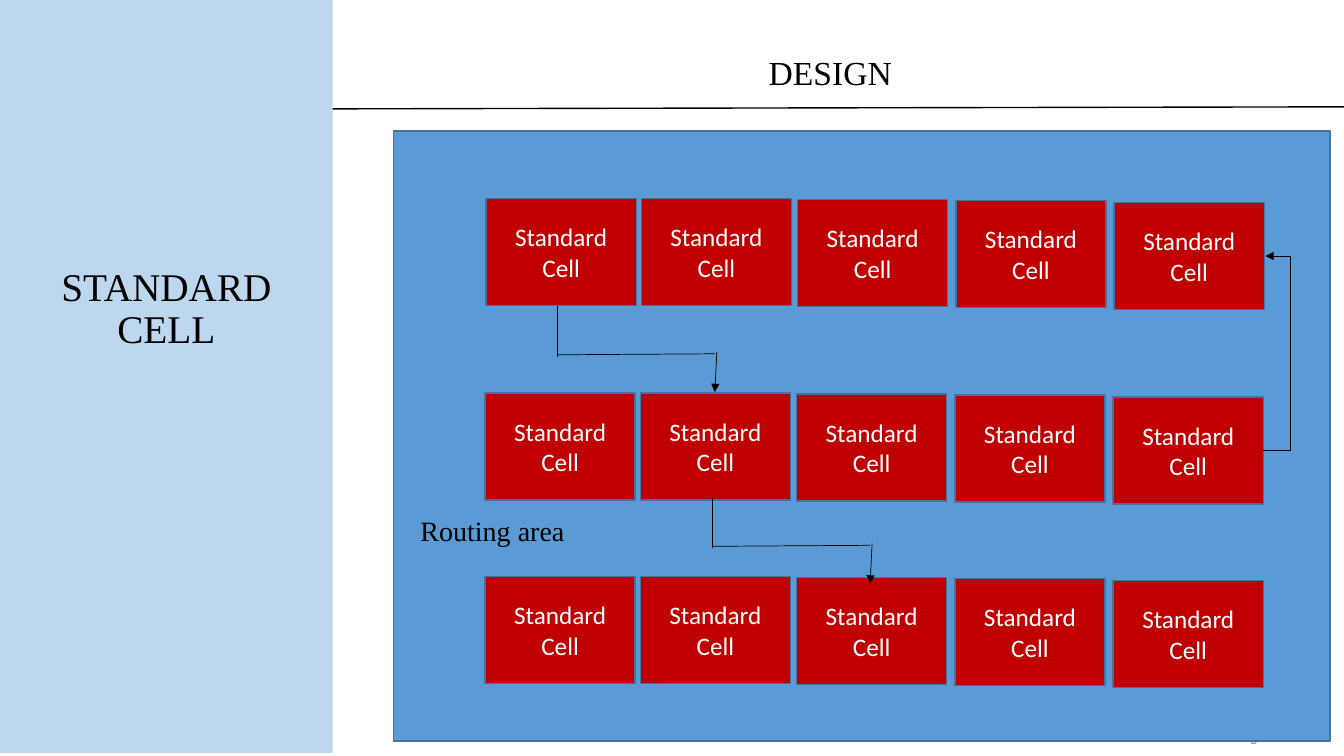
from lxml import etree
from pptx import Presentation
from pptx.dml.color import RGBColor
from pptx.enum.shapes import MSO_CONNECTOR, MSO_SHAPE
from pptx.enum.text import MSO_ANCHOR, PP_ALIGN
from pptx.oxml.ns import qn
from pptx.util import Inches, Pt

BLACK = RGBColor(0x00, 0x00, 0x00)
WHITE = RGBColor(0xFF, 0xFF, 0xFF)
GREY = RGBColor(0x8C, 0x8C, 0x8C)
PALE_BLUE = RGBColor(0xBD, 0xD7, 0xEE)
BLUE = RGBColor(0x5B, 0x9B, 0xD5)
EDGE_BLUE = RGBColor(0x43, 0x73, 0x9E)
RED = RGBColor(0xC0, 0x00, 0x00)
SERIF, SANS = "Times New Roman", "Calibri"


def add_box(box, fill=None, edge=None, text="", size=18, font=SANS, color=WHITE,
            align=PP_ALIGN.CENTER, anchor=MSO_ANCHOR.MIDDLE):
    """Add a rectangle, or a plain text box when there is no fill."""
    place = [Inches(v) for v in box]
    if fill is None:
        sp = s.shapes.add_textbox(*place)
    else:
        sp = s.shapes.add_shape(MSO_SHAPE.RECTANGLE, *place)
        sp.shadow.inherit = False
        sp.fill.solid()
        sp.fill.fore_color.rgb = fill
        sp.line.color.rgb = edge
        sp.line.width = Pt(1)
    tf = sp.text_frame
    tf.word_wrap = True
    tf.vertical_anchor = anchor
    if text:
        p = tf.paragraphs[0]
        p.alignment = align
        r = p.add_run()
        r.text = text
        r.font.name, r.font.size, r.font.color.rgb = font, Pt(size), color
    return sp


def add_wire(x1, y1, x2, y2, width=0.5, arrow=False, kind=MSO_CONNECTOR.STRAIGHT):
    cn = s.shapes.add_connector(kind, *[Inches(v) for v in (x1, y1, x2, y2)])
    cn.line.color.rgb = BLACK
    cn.line.width = Pt(width)
    if arrow:
        etree.SubElement(cn.line._get_or_add_ln(), qn("a:tailEnd"), type="triangle")
    etree.SubElement(cn._element.spPr, qn("a:effectLst"))
    return cn


prs = Presentation()
prs.slide_width, prs.slide_height = Inches(13.33), Inches(7.5)
s = prs.slides.add_slide(prs.slide_layouts[5])

# Side panel with the title
title = s.shapes.title
title.left, title.top, title.width, title.height = [
    Inches(v) for v in (0, -0.03, 3.3, 7.5)]
title.fill.solid()
title.fill.fore_color.rgb = PALE_BLUE
tf = title.text_frame
tf.text = "STANDARD CELL"
tf.word_wrap = True
tf.vertical_anchor = MSO_ANCHOR.MIDDLE
tf.margin_left = tf.margin_right = Inches(0.2)
tf.margin_bottom = Inches(1.35)
p = tf.paragraphs[0]
p.alignment = PP_ALIGN.CENTER
p.line_spacing = 0.9
font = p.runs[0].font
font.name, font.size, font.color.rgb = SERIF, Pt(28), BLACK

# Heading, rule and page number
add_box((3.3, 0.47, 9.87, 0.5), text="DESIGN", size=24, font=SERIF, color=BLACK,
        anchor=MSO_ANCHOR.TOP)
add_wire(3.3, 1.08, 13.33, 1.06, width=1)
add_box((9.58, 7.12, 3, 0.4), text="5", size=12, color=GREY, align=PP_ALIGN.RIGHT)

# Chip area with three rows of cells
add_box((3.9, 1.3, 9.29, 6.05), BLUE, EDGE_BLUE)
columns = [(4.81, 0), (6.35, 0), (7.9, 0.01), (9.47, 0.02), (11.04, 0.04)]
for row_top, shift in [(1.97, 0.01), (3.9, 0), (5.72, 0)]:
    for left, drop in columns:
        add_box((left + shift, row_top + drop, 1.49, 1.06), RED, EDGE_BLUE,
                "Standard Cell")

# Wires stepping down from one row to the next
for x, y in [(5.53, 3.04), (7.07, 4.94)]:
    add_wire(x, y, x, y + 0.5)
    add_wire(x, y + 0.48, x + 1.56, y + 0.47)
    add_wire(x + 1.58, y + 0.45, x + 1.56, y + 0.85, arrow=True)

# Wire looping back up on the right
loop = add_wire(12.53, 4.47, 12.55, 2.54, arrow=True, kind=MSO_CONNECTOR.ELBOW)
guides = loop._element.spPr.find(qn("a:prstGeom")).get_or_add_avLst()
etree.SubElement(guides, qn("a:gd"), name="adj1", fmla="val 1350000")

routing = add_box((4, 5.07, 1.77, 0.42), BLUE, BLUE, "Routing area", 20, SERIF, BLACK)
tf = routing.text_frame
tf.margin_left = tf.margin_right = tf.margin_top = tf.margin_bottom = Inches(0.12)
tf.paragraphs[0].line_spacing = 0.9

prs.save("out.pptx")
